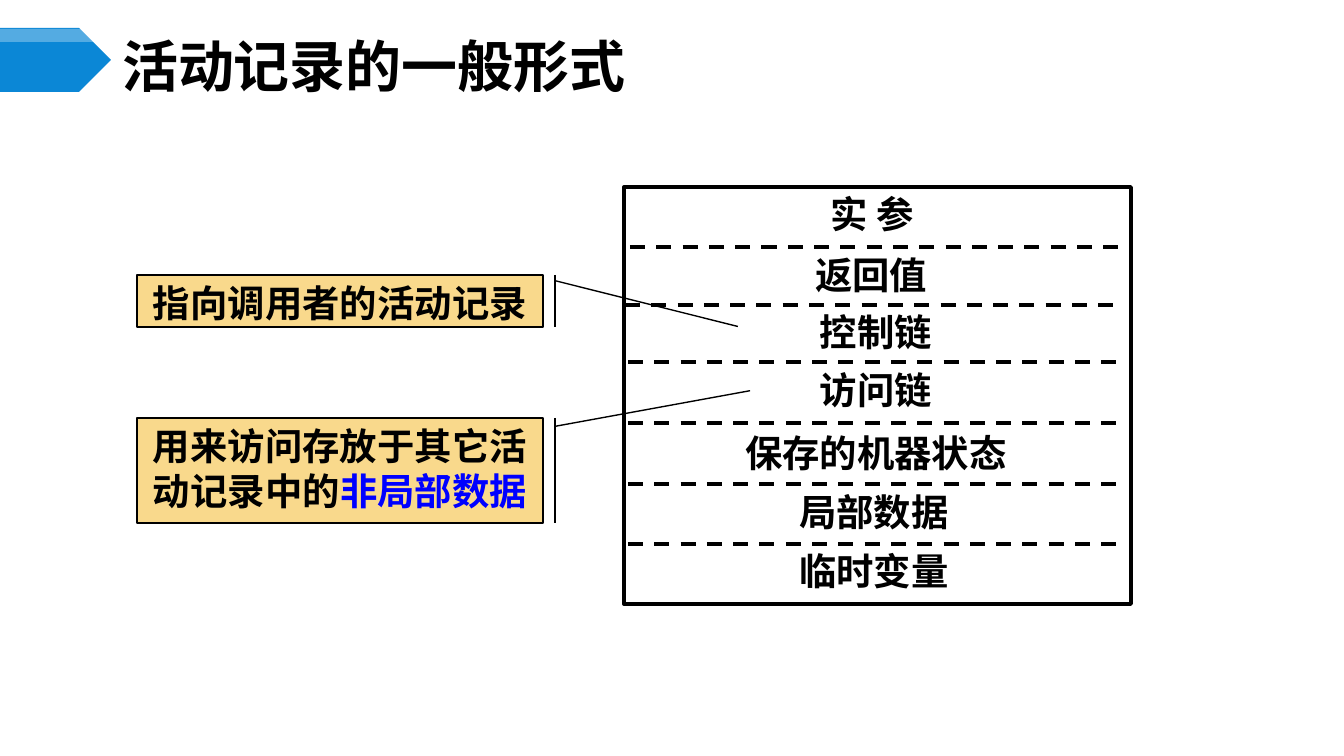
from pptx import Presentation
from pptx.dml.color import RGBColor
from pptx.enum.dml import MSO_LINE
from pptx.enum.shapes import MSO_CONNECTOR, MSO_SHAPE
from pptx.enum.text import MSO_ANCHOR, PP_ALIGN
from pptx.oxml.ns import qn
from pptx.util import Pt
from lxml.etree import SubElement

SCALE = 914400 / 134.4
FONT = "Noto Sans CJK SC"
COLORS = {"blue": "0B87D6", "white": "FFFFFF", "black": "000000",
          "note": "F9D98C", "emphasis": "0000FF"}
FIELDS = [("实 参", 634, 179), ("控制链", 638, 297), ("访问链", 638, 355),
          ("保存的机器状态", 638, 418), ("局部数据", 636, 477), ("临时变量", 636, 536)]
DIVIDERS = [(630, 1124, 247), (625, 1121, 305), (628, 1124, 362),
            (628, 1124, 423), (628, 1124, 484), (628, 1124, 544)]
NOTES = [(275, 52, ["指向调用者的活动记录"], (0.11, 1.03, 0.99, 1.48)),
         (418, 105, ["用来访问存放于其它活动记录中的", "非局部数据"], (0.08, 1.03, -0.26, 1.51))]


def px(length):
    return round(length * SCALE)


def color(name):
    return RGBColor.from_string(COLORS[name])


class SlideBuilder:
    """Draws styled elements on the current slide."""

    def __init__(self, slide):
        self.slide = slide

    def fill_text(self, shape, texts, size, insets, align, anchor=MSO_ANCHOR.TOP, wrap=True):
        frame = shape.text_frame
        frame.word_wrap = wrap
        frame.vertical_anchor = anchor
        (frame.margin_left, frame.margin_top,
         frame.margin_right, frame.margin_bottom) = map(px, insets)
        paragraph = frame.paragraphs[0]
        paragraph.alignment = align
        for text, name in zip(texts, ("black", "emphasis")):
            run = paragraph.add_run()
            run.text = text
            run.font.size = Pt(size)
            run.font.bold = True
            run.font.name = FONT
            run.font.color.rgb = color(name)
            SubElement(run.font._element, qn("a:ea"), typeface=FONT)

    def text(self, box, text, size=20, insets=(13, 12, 13, 7), align=PP_ALIGN.CENTER,
             anchor=MSO_ANCHOR.TOP, wrap=True):
        shape = self.slide.shapes.add_textbox(*map(px, box))
        self.fill_text(shape, [text], size, insets, align, anchor, wrap)

    def shape(self, kind, box, fill=None, line=None, alpha=None):
        shape = self.slide.shapes.add_shape(kind, *map(px, box))
        shape.shadow.inherit = False
        if fill:
            shape.fill.solid()
            shape.fill.fore_color.rgb = color(fill)
        else:
            shape.fill.background()
        if alpha:
            fill_color = shape._element.spPr.find(".//" + qn("a:srgbClr"))
            SubElement(fill_color, qn("a:alpha"), val=str(alpha * 1000))
        if line:
            shape.line.color.rgb = color("black")
            shape.line.width = Pt(line)
        else:
            shape.line.fill.background()
        return shape

    def divider(self, left, right, y):
        connector = self.slide.shapes.add_connector(
            MSO_CONNECTOR.STRAIGHT, px(left), px(y), px(right), px(y))
        connector.line.color.rgb = color("black")
        connector.line.width = Pt(2)
        connector.line.dash_style = MSO_LINE.DASH
        SubElement(connector._element.spPr, qn("a:effectLst"))

    def note(self, top, height, texts, adjustments):
        callout = self.shape(MSO_SHAPE.LINE_CALLOUT_1_BORDER_AND_ACCENT_BAR,
                             (137, top, 406, height), "note", 0.75)
        for index, value in enumerate(adjustments):
            callout.adjustments[index] = value
        self.fill_text(callout, texts, 20, (10, 5, 10, 5), PP_ALIGN.CENTER)


def main():
    presentation = Presentation()
    presentation.slide_width, presentation.slide_height = px(1344), px(756)
    builder = SlideBuilder(presentation.slides.add_slide(presentation.slide_layouts[6]))
    builder.shape(MSO_SHAPE.PENTAGON, (0, 28, 111, 64), "blue")
    builder.shape(MSO_SHAPE.PENTAGON, (0, 29, 111, 13), "white", alpha=30)
    builder.text((112, 39, 1165, 53), "活动记录的一般形式", 30, (10, 5, 10, 5),
                 PP_ALIGN.LEFT, MSO_ANCHOR.MIDDLE)
    builder.shape(MSO_SHAPE.RECTANGLE, (624, 187, 507, 417), line=2)
    for text, left, top in FIELDS:
        builder.text((left, top, 476, 71), text)
    for divider in DIVIDERS:
        builder.divider(*divider)
    for note in NOTES:
        builder.note(*note)
    builder.text((802, 245, 141, 59), "返回值", insets=(13, 7, 13, 7),
                 align=PP_ALIGN.LEFT, wrap=False)
    presentation.save("out.pptx")


if __name__ == "__main__":
    main()
